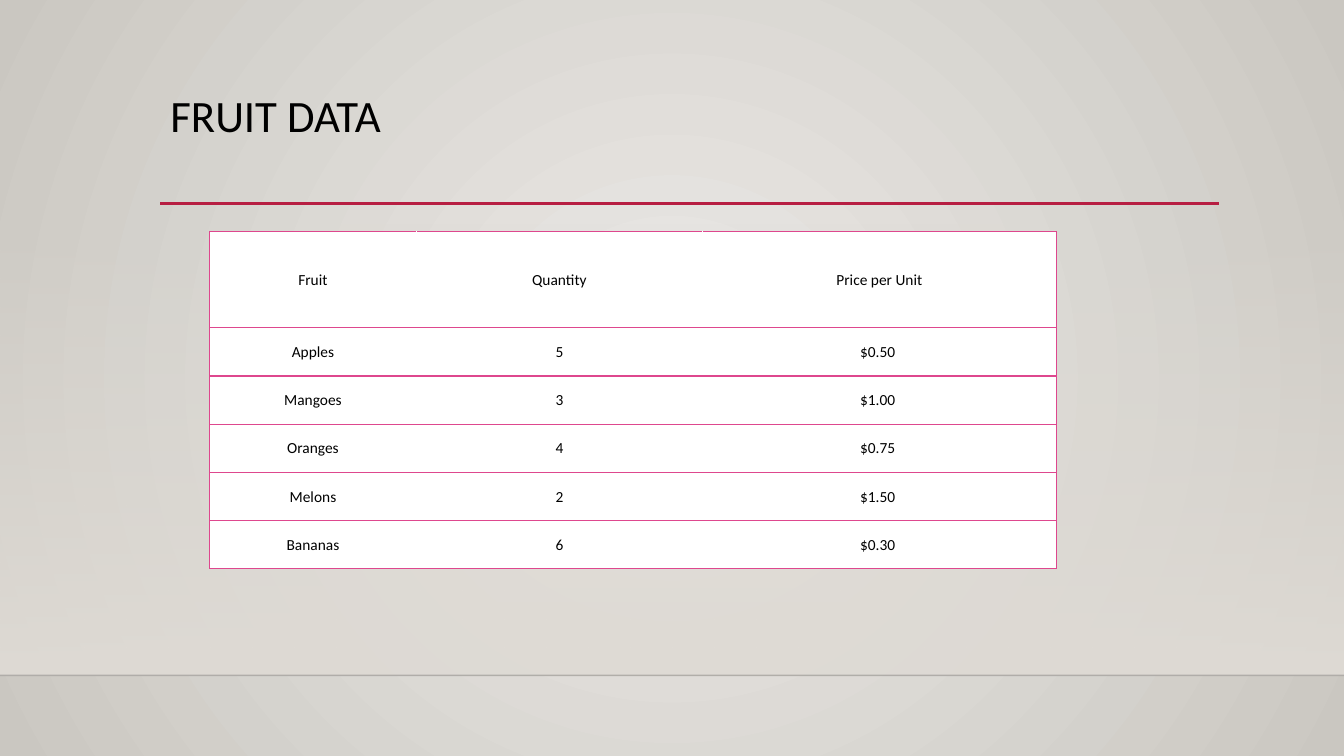
from lxml import etree
from pptx import Presentation
from pptx import util as u
from pptx.dml.color import RGBColor
from pptx.enum import shapes, text
from pptx.oxml import ns

BLACK = RGBColor(0x00, 0x00, 0x00)
WHITE = RGBColor(0xFF, 0xFF, 0xFF)
LINE_BLACK = RGBColor(0x00, 0x00, 0x01)
CRIMSON = RGBColor(0xB7, 0x1E, 0x42)
PINK = RGBColor(0xDE, 0x47, 0x8E)
GLOW = RGBColor(0xEC, 0xEA, 0xE7)
EDGE = RGBColor(0xCA, 0xC7, 0xC1)
WALL = RGBColor(0xDF, 0xDB, 0xD5)

PAGE_WIDTH, PAGE_HEIGHT = 960, 540
FONT = "Calibri"
FRUIT_ROWS = [
    ("Fruit", "Quantity", "Price per Unit"),
    ("Apples", "5", "$0.50 "),
    ("Mangoes", "3", "$1.00 "),
    ("Oranges", "4", "$0.75 "),
    ("Melons", "2", "$1.50 "),
    ("Bananas", "6", "$0.30 "),
]
COLUMN_SHARES = (2.05, 2.84, 3.51)
ROW_SHARES = (2, 1, 1, 1, 1, 1)


def add_child(parent, tag, **attributes):
    return etree.SubElement(parent, ns.qn(tag), attributes)


def write_text(frame, words, size, align, anchor, spacing=1.0):
    frame.word_wrap = True
    frame.vertical_anchor = anchor
    para = frame.paragraphs[0]
    para.alignment = align
    para.line_spacing = spacing
    span = para.add_run()
    span.text = words
    span.font.name = FONT
    span.font.size = u.Pt(size)
    span.font.color.rgb = BLACK


def set_gradient(fill, first, last):
    fill.gradient()
    for stop, color, position in zip(fill.gradient_stops, (first, last), (0, 1)):
        stop.color.rgb = color
        stop.position = position


def add_rule(page, left, top, width, color, weight, opacity=100):
    rule = page.shapes.add_connector(
        shapes.MSO_CONNECTOR.STRAIGHT,
        u.Pt(left), u.Pt(top), u.Pt(left + width), u.Pt(top))
    rule.line.color.rgb = color
    rule.line.width = u.Pt(weight)
    if opacity < 100:
        tint = rule.element.xpath("./p:spPr/a:ln//a:srgbClr")[0]
        add_child(tint, "a:alpha", val=str(opacity * 1000))
    add_child(rule.element.spPr, "a:effectLst")


def add_backdrop(page, left, top, width, height):
    # Radial page background
    set_gradient(page.background.fill, GLOW, EDGE)
    gradient = page.element.xpath(".//p:bgPr/a:gradFill")[0]
    for linear in gradient.findall(ns.qn("a:lin")):
        gradient.remove(linear)
    circle = add_child(gradient, "a:path", path="circle")
    add_child(circle, "a:fillToRect", l="50000", t="50000", r="50000", b="50000")

    # Wall that fades in downwards, and its floor line
    wall = page.shapes.add_shape(
        shapes.MSO_SHAPE.RECTANGLE,
        u.Pt(left), u.Pt(top), u.Pt(width), u.Pt(height))
    wall.shadow.inherit = False
    wall.line.fill.background()
    set_gradient(wall.fill, WALL, WALL)
    wall.fill.gradient_angle = 270
    tint = wall.element.xpath("./p:spPr/a:gradFill//a:srgbClr")[0]
    add_child(tint, "a:alpha", val="0")
    add_rule(page, left, top + height, width, LINE_BLACK, 1, opacity=20)


def add_heading(page, left, top, width, height):
    add_rule(page, left, top + height - 0.5, width, CRIMSON, 2.5)
    title = page.shapes.title
    title.left, title.top = u.Pt(left), u.Pt(top)
    title.width, title.height = u.Pt(width), u.Pt(height)
    title.text_frame.auto_size = text.MSO_AUTO_SIZE.NONE
    write_text(title.text_frame, "FRUIT DATA", 32, text.PP_ALIGN.LEFT,
               text.MSO_ANCHOR.TOP, spacing=0.9)


def add_borders(cell, sides):
    properties = cell._tc.get_or_add_tcPr()
    for side in sides:
        border = add_child(properties, f"a:ln{side}", w=str(u.Pt(1)))
        paint = add_child(border, "a:solidFill")
        add_child(paint, "a:srgbClr", val=str(PINK))


def add_fruit_table(page, left, top, width, height):
    table = page.shapes.add_table(
        len(FRUIT_ROWS), len(COLUMN_SHARES),
        u.Pt(left), u.Pt(top), u.Pt(width), u.Pt(height)).table
    table.first_row = table.horz_banding = False
    for column, share in zip(table.columns, COLUMN_SHARES):
        column.width = u.Pt(width * share / sum(COLUMN_SHARES))
    for row, share in zip(table.rows, ROW_SHARES):
        row.height = u.Pt(height * share / sum(ROW_SHARES))

    # Outer frame and row lines only
    column_sides = ("LTB", "TB", "RTB")
    for row, values in zip(table.rows, FRUIT_ROWS):
        for cell, words, sides in zip(row.cells, values, column_sides):
            add_borders(cell, sides)
            cell.fill.solid()
            cell.fill.fore_color.rgb = WHITE
            cell.margin_left = cell.margin_right = cell.margin_top = u.Pt(0.7)
            cell.margin_bottom = u.Pt(0)
            cell.vertical_anchor = text.MSO_ANCHOR.MIDDLE
            write_text(cell.text_frame, words, 11, text.PP_ALIGN.CENTER, None)


def main():
    deck = Presentation()
    deck.slide_width, deck.slide_height = u.Pt(PAGE_WIDTH), u.Pt(PAGE_HEIGHT)
    page = deck.slides.add_slide(deck.slide_layouts.get_by_name("Title Only"))
    add_backdrop(page, 0, 159, PAGE_WIDTH, 323.4)
    add_heading(page, 114.5, 63.3, 756.5, 82.7)
    add_fruit_table(page, 149.75, 165.25, 604.8, 241)
    deck.save("out.pptx")


if __name__ == "__main__":
    main()
